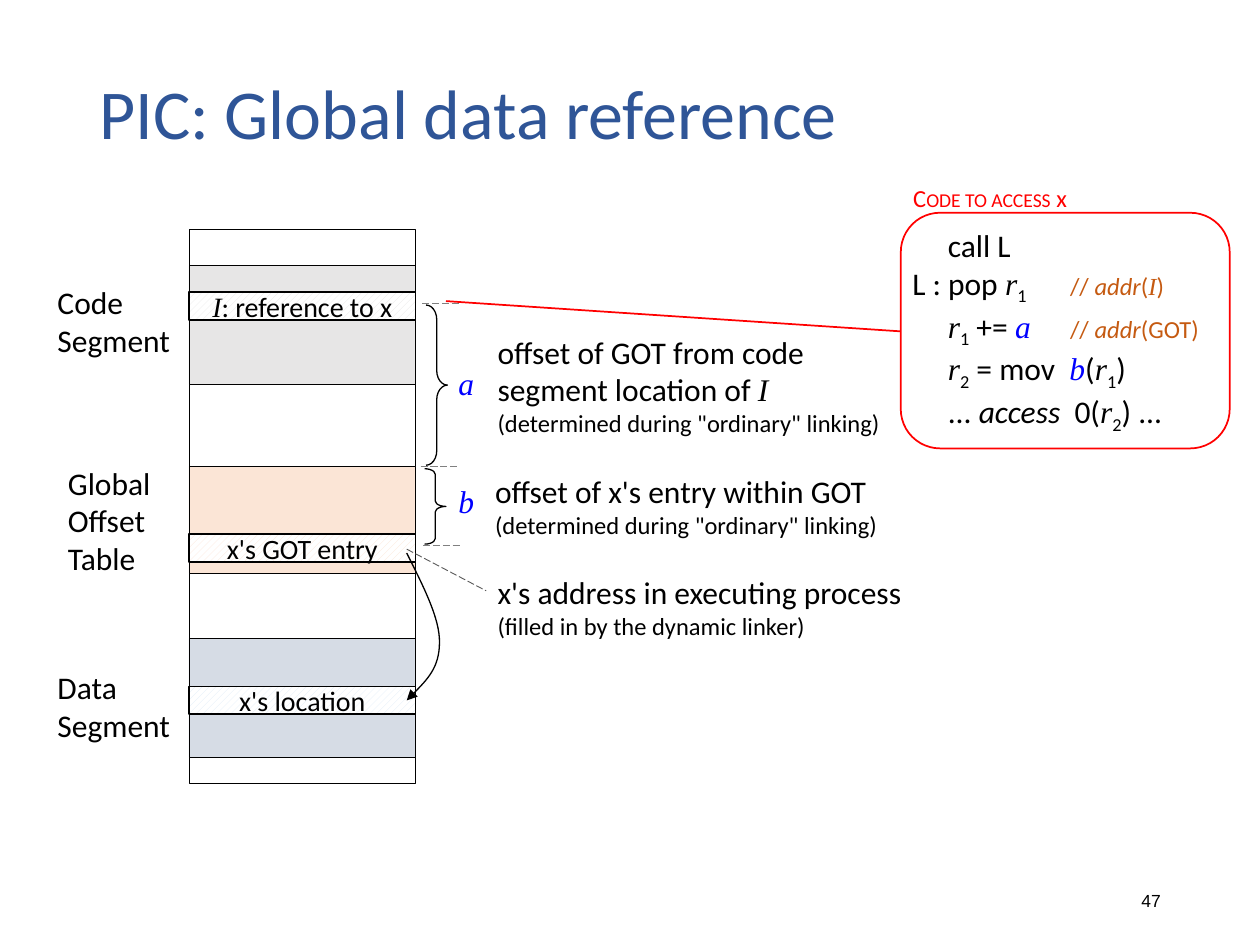
from lxml.etree import SubElement
from pptx import Presentation
from pptx.dml.color import RGBColor as RGB
from pptx.enum.dml import MSO_LINE as Dash, MSO_PATTERN as Pat
from pptx.enum.shapes import MSO_CONNECTOR as Conn, MSO_SHAPE as Geo
from pptx.enum.text import MSO_ANCHOR as Anchor, MSO_AUTO_SIZE as Auto, PP_ALIGN as Align
from pptx.oxml.ns import qn
from pptx.util import Cm, Pt

hues = {
    "black": "000000", "white": "FFFFFF", "title": "2F5597", "red": "FF0000",
    "blue": "0000FF", "rust": "C55A11", "gray": "808080", "dark": "595959",
    "code": "E7E6E6", "got": "FBE5D6", "data": "D6DCE5", "pale": "DEEBF7",
}
styles = {
    "page": (10, "Arial", "black", False),
    "title": (40, "Calibri", "title", False),
    "text": (18, "Calibri", "black", False),
    "var": (18, "Times New Roman", "black", True),
    "ital": (18, "Calibri", "black", True),
    "sub": (18, "Calibri", "black", False),
    "off": (18, "Times New Roman", "blue", True),
    "small": (14, "Calibri", "black", False),
    "cell": (16, "Calibri", "black", False),
    "cellvar": (16, "Times New Roman", "black", True),
    "note": (14, "Calibri", "rust", False),
    "noteital": (14, "Calibri", "rust", True),
    "notevar": (14, "Times New Roman", "rust", True),
    "head": (14, "Calibri", "red", False),
    "caps": (14, "Calibri", "red", False),
}


def write(frame, lines, align=Align.LEFT, anchor=Anchor.TOP, wrap=True):
    frame.word_wrap = wrap
    frame.vertical_anchor = anchor
    for i, line in enumerate(lines):
        para = frame.paragraphs[0] if i == 0 else frame.add_paragraph()
        para.alignment = align
        for text, style in line:
            run = para.add_run()
            run.text = text
            size, face, hue, slant = styles[style]
            run.font.size = Pt(size)
            run.font.name = face
            run.font.italic = slant
            run.font.color.rgb = RGB.from_string(hues[hue])
            if style == "sub":
                run.font._element.set("baseline", "-25000")
            if style == "caps":
                run.font._element.set("cap", "small")


def shape(kind, left, top, width, height, weight, hue="black"):
    item = slide.shapes.add_shape(kind, Cm(left), Cm(top), Cm(width), Cm(height))
    item.shadow.inherit = False
    item.fill.background()
    item.line.color.rgb = RGB.from_string(hues[hue])
    item.line.width = Pt(weight)
    return item


deck = Presentation()
deck.slide_width, deck.slide_height = Cm(25.4), Cm(19.05)
slide = deck.slides.add_slide(deck.slide_layouts[5])

title = slide.shapes.title
title.left, title.top, title.width, title.height = Cm(1.75), Cm(1.02), Cm(20.96), Cm(2.67)
write(title.text_frame, [[("PIC: Global data reference", "title")]], anchor=Anchor.MIDDLE)
title.text_frame.paragraphs[0].line_spacing = 0.9

left, width = 3.81, 4.57
shape(Geo.RECTANGLE, left, 4.62, width, 11.18, 0.5)
for top, height, hue in [(5.36, 2.39, "code"), (9.4, 2.16, "got"), (12.88, 2.39, "data")]:
    band = shape(Geo.RECTANGLE, left, top, width, height, 0.5)
    band.fill.solid()
    band.fill.fore_color.rgb = RGB.from_string(hues[hue])

cells = [
    (5.89, "code", [("I", "cellvar"), (": reference to x", "cell")]),
    (10.77, "got", [("x's GOT entry", "cell")]),
    (13.84, "pale", [("x's location", "cell")]),
]
for top, hue, line in cells:
    cell = shape(Geo.RECTANGLE, left, top, width, 0.56, 1)
    cell.fill.patterned()
    cell.fill.pattern = Pat.WIDE_UPWARD_DIAGONAL
    cell.fill.fore_color.rgb = RGB.from_string(hues[hue])
    cell.fill.back_color.rgb = RGB.from_string(hues["white"])
    write(cell.text_frame, [line], Align.CENTER, Anchor.MIDDLE)

for x, top, height, bend in [(8.59, 6.15, 3.23, 0.68), (8.56, 9.45, 1.52, 0.26)]:
    brace = shape(Geo.RIGHT_BRACE, x, top, 0.43, height, 0.75)
    brace.adjustments[0] = bend

curve = [(8.53, 11.81), (8.87, 12.47), (8.86, 12.95), (8.86, 13.46), (8.53, 13.79), (8.2, 14.12)]
pen = slide.shapes.build_freeform(Cm(8.2), Cm(11.15))
pen.add_line_segments([(Cm(x), Cm(y)) for x, y in curve], close=False)
arrow = pen.convert_to_shape()
arrow.shadow.inherit = False
arrow.fill.background()
arrow.line.color.rgb = RGB.from_string(hues["black"])
arrow.line.width = Pt(0.75)
SubElement(arrow.line._get_or_add_ln(), qn("a:tailEnd"), type="triangle")
steps = list(arrow._element.iter(qn("a:lnTo")))
for i in range(0, len(steps), 3):
    bend = SubElement(steps[i].getparent(), qn("a:cubicBezTo"))
    for step in steps[i:i + 3]:
        bend.append(step[0])
        step.getparent().remove(step)

lines = [
    (8.51, 6.12, 9.25, 6.12, "gray", 0.5),
    (8.48, 9.4, 9.22, 9.4, "gray", 0.5),
    (8.53, 11, 9.27, 11, "gray", 0.5),
    (8.2, 11.07, 9.8, 11.91, "dark", 0.5),
    (8.99, 6.07, 18.16, 6.68, "red", 1),
]
for x1, y1, x2, y2, hue, weight in lines:
    link = slide.shapes.add_connector(Conn.STRAIGHT, Cm(x1), Cm(y1), Cm(x2), Cm(y2))
    link.line.color.rgb = RGB.from_string(hues[hue])
    link.line.width = Pt(weight)
    if hue != "red":
        link.line.dash_style = Dash.LONG_DASH
    SubElement(link._element.spPr, qn("a:effectLst"))

linking = [("(determined during \"ordinary\" linking)", "small")]
labels = [
    (0.91, 5.59, 2.79, 1.8, True, [[("Code Segment", "text")]]),
    (1.12, 9.22, 2.79, 2.57, True, [[("Global Offset Table", "text")]]),
    (0.91, 13.34, 2.79, 1.8, True, [[("Data Segment", "text")]]),
    (8.99, 7.21, 0.84, 1.02, False, [[("a", "off")]]),
    (8.99, 9.6, 0.84, 1.02, False, [[("b", "off")]]),
    (9.78, 6.58, 8.26, 2.39, True, [
        [("offset of GOT from code segment location of ", "text"), ("I", "var")], linking]),
    (9.73, 9.4, 8.43, 1.63, True, [[("offset of x's entry within GOT", "text")], linking]),
    (9.78, 11.43, 8.76, 1.63, True, [
        [("x's address in executing process", "text")],
        [("(filled in by the dynamic linker)", "small")]]),
    (18.16, 3.56, 3.68, 0.86, False, [[("Code to access", "caps"), (" x", "head")]]),
]
for x, y, wide, high, wrap, text in labels:
    label = slide.shapes.add_textbox(Cm(x), Cm(y), Cm(wide), Cm(high))
    write(label.text_frame, text, wrap=wrap)
    label.text_frame.auto_size = Auto.SHAPE_TO_FIT_TEXT

code = shape(Geo.ROUNDED_RECTANGLE, 18.16, 4.29, 6.63, 4.75, 1, "red")
code.text_frame.margin_left = 0
r1, r2 = [[("r", "var"), (digit, "sub")] for digit in "12"]
indent = ("     ", "text")
write(code.text_frame, [
    [("     call L", "text")],
    [("L : pop ", "text"), *r1, ("\t", "text"), ("// ", "note"), ("addr", "noteital"),
     ("(", "note"), ("I", "notevar"), (")", "note")],
    [indent, *r1, (" += ", "text"), ("a", "off"), ("\t", "text"), ("// ", "note"),
     ("addr", "noteital"), ("(GOT)", "note")],
    [indent, *r2, (" = mov  ", "text"), ("b", "off"), ("(", "text"), *r1, (")", "text")],
    [("     ... ", "text"), ("access", "ital"), ("  0(", "text"), *r2, (") ...", "text")],
], anchor=Anchor.MIDDLE)
for para in code.text_frame.paragraphs[1:3]:
    tabs = SubElement(para._p.get_or_add_pPr(), qn("a:tabLst"))
    SubElement(tabs, qn("a:tab"), pos=str(Cm(3.18)), algn="l")

page = slide.shapes.add_textbox(Cm(17.93), Cm(17.65), Cm(5.72), Cm(1.02))
write(page.text_frame, [[("47", "page")]], Align.RIGHT, Anchor.MIDDLE)

deck.save("out.pptx")
